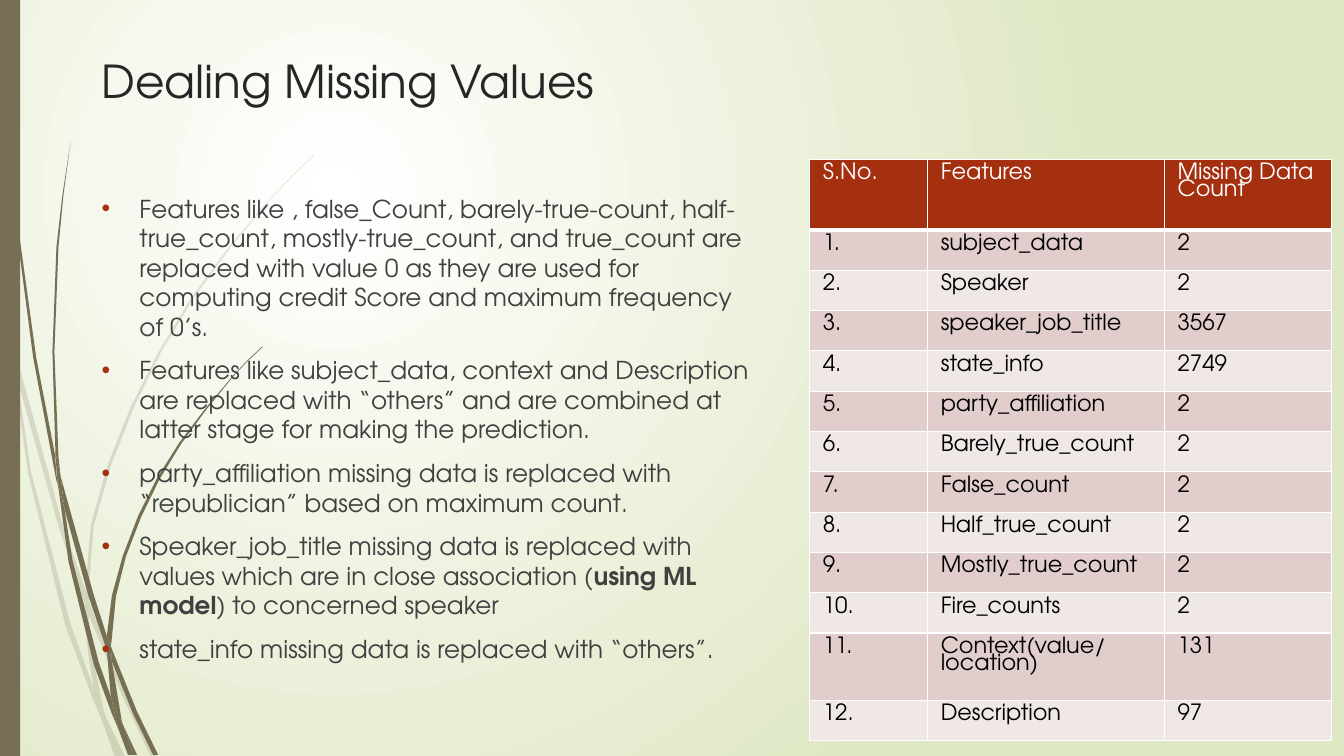
import pptx
import pptx.dml.color
import pptx.enum.shapes
import pptx.enum.text
import pptx.oxml
import pptx.oxml.ns
import pptx.util
from lxml import etree

Pt = pptx.util.Pt
RGBColor = pptx.dml.color.RGBColor
qn = pptx.oxml.ns.qn

# Content
TITLE = "Dealing Missing Values"
# Each bullet is a list of (text, bold) runs
BULLETS = [
    [("Features like , false_Count, barely-true-count, half-true_count, mostly-true_count, and true_count "
      "are replaced with value 0 as they are used for computing credit Score and maximum frequency of 0’s.", False)],
    [("Features like subject_data, context and Description are replaced with “others” and are combined "
      "at latter stage for making the prediction.", False)],
    [("party_affiliation missing data is replaced with “republician” based on maximum count.", False)],
    [("Speaker_job_title missing data is replaced with values which are in close association (", False),
     ("using ML model", True), (") to concerned speaker", False)],
    [("state_info missing data is replaced with “others”.", False)],
]
HEADER = ("S.No.", "Features", "Missing Data Count")
MISSING = [
    ("subject_data", 2), ("Speaker", 2), ("speaker_job_title", 3567), ("state_info", 2749),
    ("party_affiliation", 2), ("Barely_true_count", 2), ("False_count", 2), ("Half_true_count", 2),
    ("Mostly_true_count", 2), ("Fire_counts", 2), ("Context(value/location)", 131), ("Description", 97),
]

# Grass outlines, in units of GRASS_UNIT
GRASS_UNIT = Pt(0.72)
PALE_GRASS = [
    [(11, 350), (9, 322), (0, 282), (0, 299), (10, 344)],
    [(58, 522), (84, 599), (85, 586), (62, 520), (14, 345), (17, 376)],
    [(92, 607), (88, 596), (88, 610), (123, 694), (150, 751), (155, 751), (127, 692)],
    [(119, 751), (124, 751), (105, 711)],
    [(93, 683), (70, 619), (31, 469), (17, 376), (11, 350), (28, 470), (65, 621), (92, 693),
     (101, 714), (99, 707)],
    [(84, 599), (87, 646), (93, 683), (96, 692), (105, 711), (103, 706), (91, 646), (88, 610), (88, 608)],
    [(88, 584), (93, 522), (110, 462), (133, 404), (160, 349), (192, 296), (229, 245), (268, 198),
     (290, 175), (312, 154), (312, 153), (289, 175), (268, 197), (228, 244), (190, 295), (158, 348),
     (130, 403), (107, 461), (90, 521), (85, 584), (85, 586), (88, 596)],
    [(101, 714), (114, 751), (119, 751)],
    [(88, 608), (88, 610), (88, 596), (85, 586), (84, 599)],
    [(96, 692), (93, 683), (99, 707), (101, 714), (119, 751), (105, 711)],
]
DARK_GRASS = [
    [(7, 110), (17, 233), (33, 355), (56, 477), (57, 481), (55, 457), (55, 453), (36, 355),
     (19, 232), (8, 109), (5, 48), (4, 0), (3, 0), (4, 48)],
    [(88, 592), (106, 645), (106, 633), (106, 631), (93, 590), (60, 472), (64, 505)],
    [(113, 649), (110, 641), (111, 656), (132, 708), (152, 749), (157, 749), (136, 706)],
    [(110, 691), (98, 657), (72, 556), (64, 505), (57, 477), (68, 557), (93, 659), (111, 708),
     (117, 722), (116, 717)],
    [(60, 472), (58, 453), (54, 349), (58, 245), (63, 193), (70, 141), (62, 193), (56, 245),
     (52, 349), (55, 449)],
    [(133, 749), (136, 749), (122, 719)],
    [(57, 477), (64, 505), (60, 472), (55, 449), (55, 453)],
    [(111, 633), (115, 592), (125, 552), (140, 513), (158, 476), (180, 440), (205, 406), (231, 374),
     (245, 359), (261, 344), (260, 344), (245, 358), (231, 373), (204, 405), (178, 439), (156, 474),
     (137, 512), (122, 551), (111, 591), (106, 631), (110, 641)],
    [(117, 722), (127, 749), (131, 749)],
    [(106, 645), (110, 691), (116, 706), (122, 719), (121, 716), (111, 656), (109, 651)],
    [(106, 645), (109, 651), (111, 656), (110, 641), (106, 631), (106, 633)],
    [(116, 706), (110, 691), (116, 717), (117, 722), (130, 749), (133, 749), (122, 719)],
]

# Style
FONT = "TeX Gyre Adventor"
WHITE = RGBColor(0xFF, 0xFF, 0xFF)
BLACK = RGBColor(0x00, 0x00, 0x00)
SAGE = RGBColor(0xDF, 0xE8, 0xC4)
OLIVE = RGBColor(0x76, 0x6F, 0x54)
RUST = RGBColor(0xA5, 0x30, 0x10)
TITLE_GREY = RGBColor(0x26, 0x26, 0x26)
BODY_GREY = RGBColor(0x40, 0x40, 0x40)
BANDS = (RGBColor(0xE1, 0xCD, 0xCC), RGBColor(0xF0, 0xE8, 0xE7))

# Table layout
COLUMN_WIDTHS = (84.2, 169.2, 119.5)
ROW_HEIGHT, HEADER_HEIGHT, TALL_HEIGHT = 28.8, 50.2, 48.2
TALL_ROW = 11


def add_element(parent, tag, **attributes):
    return etree.SubElement(parent, qn(tag), attributes)


def format_run(run, size, color, bold=False):
    run.font.name = FONT
    run.font.size = Pt(size)
    run.font.color.rgb = color
    run.font.bold = bold


def paint_background(slide):
    fill = slide.background.fill
    fill.gradient()
    for stop, color in zip(fill.gradient_stops, (WHITE, SAGE)):
        stop.color.rgb = color
    gradient = next(slide.element.iter(qn("a:gradFill")))
    gradient.remove(gradient.find(qn("a:lin")))
    circle = add_element(gradient, "a:path", path="circle")
    add_element(circle, "a:fillToRect", l="50000", t="50000", r="100000", b="100000")


def paint_olive(shape, alpha=None):
    shape.shadow.inherit = False
    shape.fill.solid()
    shape.fill.fore_color.rgb = OLIVE
    shape.line.fill.background()
    if alpha:
        color = next(shape.element.spPr.iter(qn("a:srgbClr")))
        add_element(color, "a:alpha", val=str(alpha * 1000))


def add_grass(slide, outlines, alpha=None):
    for start, *rest in outlines:
        builder = slide.shapes.build_freeform(*start, scale=GRASS_UNIT)
        builder.add_line_segments(rest, close=True)
        paint_olive(builder.convert_to_shape(), alpha)


def add_text_frame(slide, left, top, width, height):
    text_frame = slide.shapes.add_textbox(Pt(left), Pt(top), Pt(width), Pt(height)).text_frame
    text_frame.word_wrap = True
    text_frame.vertical_anchor = pptx.enum.text.MSO_ANCHOR.TOP
    return text_frame


def add_bullets(text_frame):
    for index, runs in enumerate(BULLETS):
        paragraph = text_frame.paragraphs[0] if index == 0 else text_frame.add_paragraph()
        paragraph.space_before = Pt(10)
        for text, bold in runs:
            run = paragraph.add_run()
            run.text = text
            format_run(run, 17.6, BODY_GREY, bold)
        properties = paragraph._p.get_or_add_pPr()
        properties.set("marL", str(Pt(27)))
        properties.set("indent", str(-Pt(27)))
        add_element(add_element(properties, "a:buClr"), "a:srgbClr", val=str(RUST))
        add_element(properties, "a:buFont", typeface="Arial")
        add_element(properties, "a:buChar", char="•")


def format_cell(cell, text, is_header, fill_color):
    cell.margin_left = cell.margin_right = Pt(9.4)
    cell.margin_top = cell.margin_bottom = Pt(5)
    cell.text_frame.text = text
    paragraph = cell.text_frame.paragraphs[0]
    paragraph.line_spacing = 0.8
    format_run(paragraph.runs[0], 16, WHITE if is_header else BLACK)
    # Borders come before the fill in the cell properties
    properties = cell._tc.get_or_add_tcPr()
    for side in "LRTB":
        width = 3 if is_header and side == "B" else 1
        line = add_element(properties, "a:ln" + side, w=str(Pt(width)))
        add_element(add_element(line, "a:solidFill"), "a:srgbClr", val=str(WHITE))
    cell.fill.solid()
    cell.fill.fore_color.rgb = fill_color


def add_missing_table(slide):
    rows = [HEADER] + [(f"{number}.", name, str(count)) for number, (name, count) in enumerate(MISSING, 1)]
    heights = [ROW_HEIGHT] * len(rows)
    heights[0], heights[TALL_ROW] = HEADER_HEIGHT, TALL_HEIGHT
    table = slide.shapes.add_table(len(rows), len(HEADER), Pt(578.4), Pt(114),
                                   Pt(sum(COLUMN_WIDTHS)), Pt(sum(heights))).table
    table.horz_banding = False
    for column, width in zip(table.columns, COLUMN_WIDTHS):
        column.width = Pt(width)
    for row_index, texts in enumerate(rows):
        table.rows[row_index].height = Pt(heights[row_index])
        is_header = row_index == 0
        fill_color = RUST if is_header else BANDS[(row_index - 1) % 2]
        for cell, text in zip(table.rows[row_index].cells, texts):
            format_cell(cell, text, is_header, fill_color)


def main():
    presentation = pptx.Presentation()
    presentation.slide_width, presentation.slide_height = Pt(960), Pt(540)
    slide = presentation.slides.add_slide(presentation.slide_layouts[6])

    # Backdrop
    paint_background(slide)
    add_grass(slide, PALE_GRASS, alpha=20)
    add_grass(slide, DARK_GRASS)
    paint_olive(slide.shapes.add_shape(pptx.enum.shapes.MSO_SHAPE.RECTANGLE, 0, 0, Pt(14.4), Pt(540)))

    # Title and bullets
    title_frame = add_text_frame(slide, 65.5, 34.6, 787.7, 43.9)
    title_frame.text = TITLE
    format_run(title_frame.paragraphs[0].runs[0], 32.4, TITLE_GREY)
    add_bullets(add_text_frame(slide, 65.5, 134.6, 478.8, 353.5))

    # Table of missing values
    add_missing_table(slide)
    presentation.save("out.pptx")


if __name__ == "__main__":
    main()
